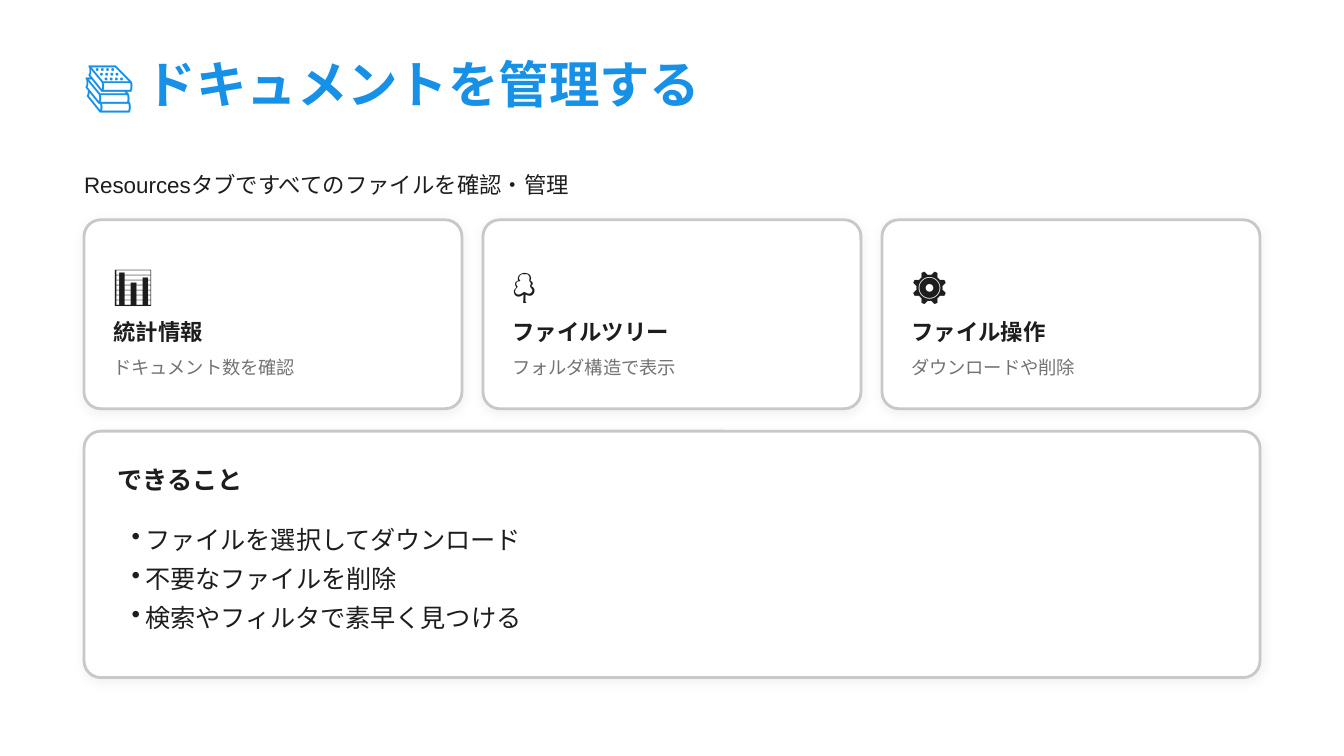
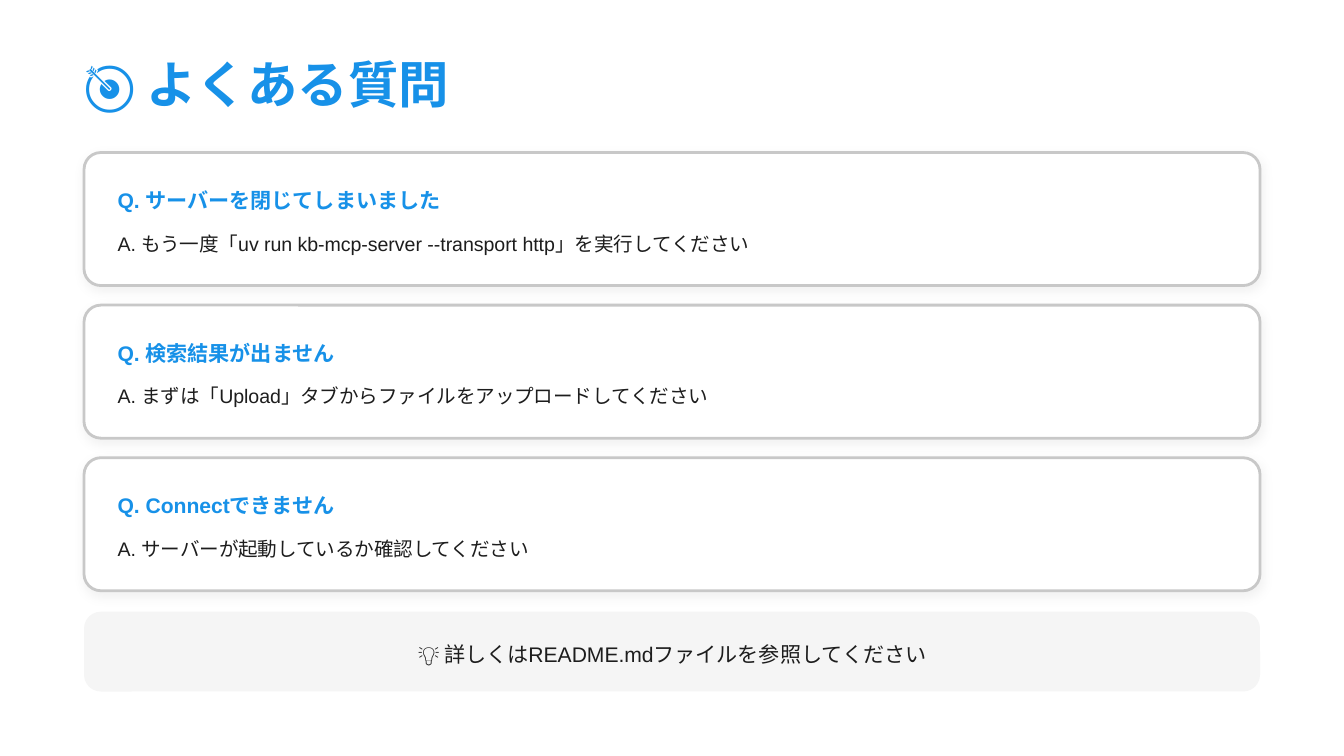
"""Build two slides: managing documents, and frequent questions."""
from lxml import etree
from pptx import Presentation
from pptx.dml.color import RGBColor
from pptx.enum.shapes import MSO_SHAPE
from pptx.enum.text import PP_ALIGN
from pptx.oxml import parse_xml
from pptx.oxml.ns import qn
from pptx.util import Pt

ROUND = MSO_SHAPE.ROUNDED_RECTANGLE
LEFT, CENTER = PP_ALIGN.LEFT, PP_ALIGN.CENTER
PX = 9525
EDGE, WIDE, CURVE = 60, 840, 12
HEX = {
    "blue": "1791E8",
    "ink": "1D1D1D",
    "gray": "737373",
    "rim": "C8C8C8",
    "white": "FFFFFF",
    "pale": "F5F5F5",
}
STYLE = {
    "title": ("blue", 27, True, 27, 19.5, LEFT),
    "lead": ("ink", 12, False, 16.8, 0, LEFT),
    "icon": ("ink", 21, False, 29.4, 6, LEFT),
    "name": ("ink", 12, True, 14.4, 4.5, LEFT),
    "note": ("gray", 9.75, False, 13.65, 0, LEFT),
    "head": ("ink", 13.5, True, 16.2, 10.5, LEFT),
    "list": ("ink", 13.5, False, 21, 0, LEFT),
    "ask": ("blue", 11.25, True, 15.75, 6, LEFT),
    "reply": ("ink", 10.5, False, 16.8, 0, LEFT),
    "tip": ("ink", 11.25, False, 15.75, 0, CENTER),
}
SHADE = (
    '<a:outerShdw xmlns:a="http://schemas.openxmlformats.org/drawingml/2006/main"'
    ' blurRad="76200" dist="19050" dir="5400000" algn="ctr" rotWithShape="0">'
    '<a:srgbClr val="000000"><a:alpha val="5000"/></a:srgbClr></a:outerShdw>'
)


def write(slide, style, x, y, w, h, *lines):
    """Add a text box with one paragraph per line and return its frame."""
    hue, size, bold, pitch, after, align = STYLE[style]
    frame = slide.shapes.add_textbox(x * PX, y * PX, w * PX, h * PX).text_frame
    box = {"margin_left": 0, "margin_right": 0, "margin_top": 0,
           "margin_bottom": 0, "word_wrap": True}
    para = {"line_spacing": Pt(pitch), "space_after": Pt(after), "alignment": align}
    face = {"name": "Arial", "size": Pt(size), "bold": bold}
    for key, val in box.items():
        setattr(frame, key, val)
    for i, line in enumerate(lines):
        p = frame.add_paragraph() if i else frame.paragraphs[0]
        run = p.add_run()
        run.text = line
        for part, look in ((p, para), (run.font, face)):
            for key, val in look.items():
                setattr(part, key, val)
        run.font.color.rgb = RGBColor.from_string(HEX[hue])
    return frame


def panel(slide, x, y, w, h, fill="white", rim="rim"):
    """Add a rounded panel, with a rim and soft shadow unless rim is None."""
    card = slide.shapes.add_shape(ROUND, x * PX, y * PX, w * PX, h * PX)
    card.adjustments[0] = CURVE / h
    card.shadow.inherit = False
    card.fill.solid()
    card.fill.fore_color.rgb = RGBColor.from_string(HEX[fill])
    if rim:
        card.line.color.rgb = RGBColor.from_string(HEX[rim])
        card.line.width = Pt(1.5)
        card.element.spPr.find(qn("a:effectLst")).append(parse_xml(SHADE))
    else:
        card.line.fill.background()


deck = Presentation()
deck.slide_width, deck.slide_height = 960 * PX, 540 * PX
pages = []
for title in ("📚 ドキュメントを管理する", "🎯 よくある質問"):
    page = deck.slides.add_slide(deck.slide_layouts[6])
    write(page, "title", EDGE, 45, 468, 36, title)
    pages.append(page)
docs, faq = pages

write(docs, "lead", EDGE, 119, 857, 22, "Resourcesタブですべてのファイルを確認・管理")
cards = [
    ("📊", "統計情報", "ドキュメント数を確認"),
    ("🌳", "ファイルツリー", "フォルダ構造で表示"),
    ("⚙️", "ファイル操作", "ダウンロードや削除"),
]
for i, (icon, name, note) in enumerate(cards):
    x = EDGE + 285 * i
    panel(docs, x, 157, 270, 135)
    write(docs, "icon", x + 21, 180, 231, 39, icon)
    write(docs, "name", x + 21, 227, 231, 19, name)
    write(docs, "note", x + 21, 252, 231, 18, note)

panel(docs, EDGE, 308, WIDE, 176)
write(docs, "head", 84, 332, 807, 21, "できること")
tasks = write(docs, "list", 84, 368, 792, 92,
              "ファイルを選択してダウンロード",
              "不要なファイルを削除",
              "検索やフィルタで素早く見つける")
tasks.margin_left = 10 * PX
for p in tasks.paragraphs:
    props = p._p.get_or_add_pPr()
    props.set("marL", str(10 * PX))
    props.set("indent", str(-10 * PX))
    etree.SubElement(props, qn("a:buChar")).set("char", "•")

pairs = [
    ("Q. サーバーを閉じてしまいました",
     "A. もう一度「uv run kb-mcp-server --transport http」を実行してください"),
    ("Q. 検索結果が出ません",
     "A. まずは「Upload」タブからファイルをアップロードしてください"),
    ("Q. Connectできません",
     "A. サーバーが起動しているか確認してください"),
]
for i, (ask, reply) in enumerate(pairs):
    y = 109 + 109 * i
    panel(faq, EDGE, y, WIDE, 95)
    write(faq, "ask", 84, y + 22, 807, 21, ask)
    write(faq, "reply", 84, y + 51, 807, 22, reply)

panel(faq, EDGE, 437, WIDE, 57, "pale", None)
write(faq, "tip", 74, 455, 812, 21, "💡 詳しくはREADME.mdファイルを参照してください")

deck.save("out.pptx")
